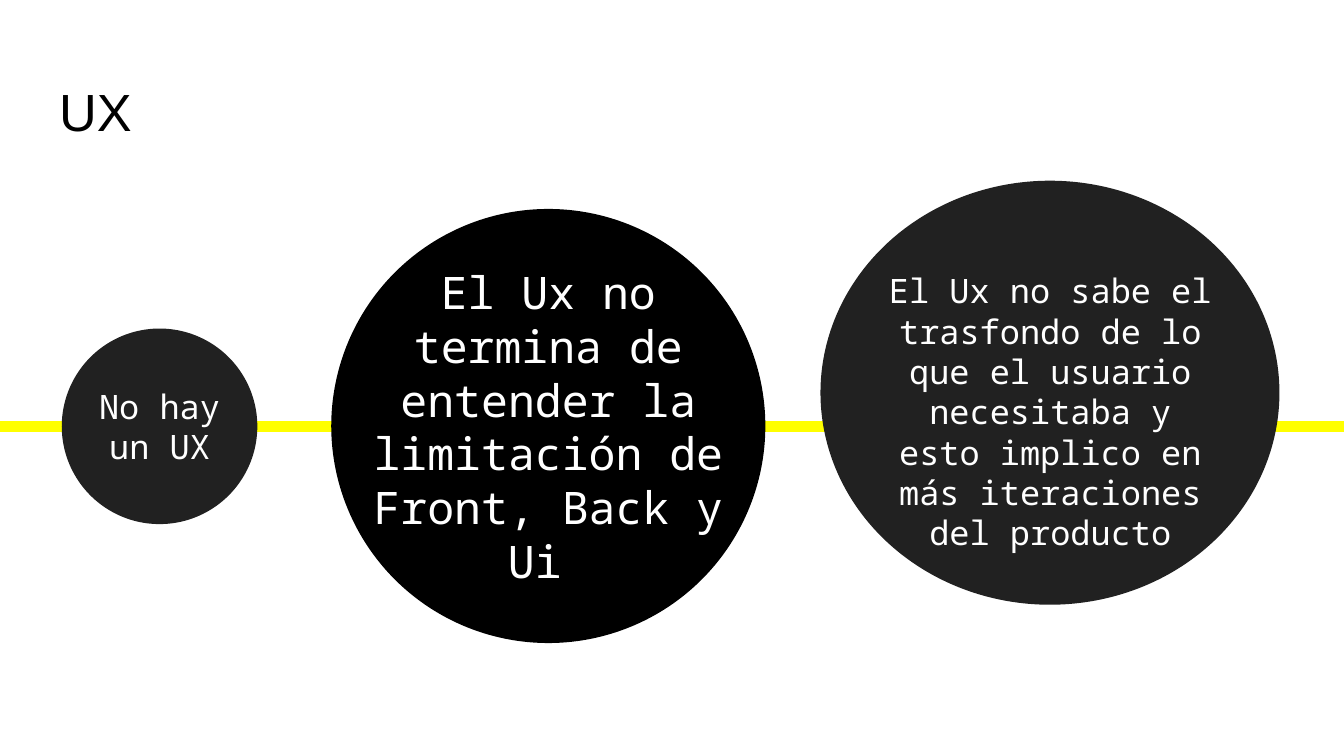
from pptx import Presentation
from pptx.dml.color import RGBColor
from pptx.enum.shapes import MSO_CONNECTOR as LINE, MSO_SHAPE as SHAPE
from pptx.enum.text import MSO_ANCHOR as ANCHOR, MSO_AUTO_SIZE as FIT, PP_ALIGN as ALIGN
from pptx.oxml.ns import qn
from pptx.util import Pt
from lxml import etree

PX = 4572  # 200 px to the inch
BLACK = RGBColor(0x00, 0x00, 0x00)
GREY = RGBColor(0x21, 0x21, 0x21)
WHITE = RGBColor(0xFF, 0xFF, 0xFF)
YELLOW = RGBColor(0xFF, 0xFF, 0x00)


def px(*nums):
    return [n * PX for n in nums]


def write(box, text, font, size, color, align, anchor):
    frame = box.text_frame
    frame.word_wrap = True
    frame.auto_size = FIT.NONE
    frame.vertical_anchor = anchor
    frame.margin_left = frame.margin_right = 20 * PX
    frame.margin_top = frame.margin_bottom = 20 * PX
    frame.text = text
    para = frame.paragraphs[0]
    para.alignment = align
    para.font.name = font
    para.font.size = Pt(size)
    para.font.color.rgb = color


prs = Presentation()
prs.slide_width, prs.slide_height = px(2000, 1125)
slide = prs.slides.add_slide(prs.slide_layouts[5])
shapes = slide.shapes

# Line that threads the circles
thread = shapes.add_connector(LINE.STRAIGHT, *px(-2, 635, 2000, 635))
thread.line.color.rgb = YELLOW
thread.line.width = Pt(6)
etree.SubElement(thread._element.spPr, qn("a:effectLst"))

# Title
title = shapes.title
title.left, title.top, title.width, title.height = px(68, 98, 1864, 126)
write(title, "UX", "Arial", 28, BLACK, ALIGN.LEFT, ANCHOR.TOP)

# Circle box, fill, label box, size, label
circles = [
    ((92, 489, 291, 291), GREY, (92, 568, 291, 132), 18, "No hay un UX"),
    ((493, 311, 646, 646), BLACK, (493, 568, 646, 132), 24,
     "El Ux no termina de entender la limitación de Front, Back y Ui "),
    ((1221, 269, 683, 631), GREY, (1296, 523, 534, 178), 18,
     "El Ux no sabe el trasfondo de lo que el usuario necesitaba "
     "y esto implico en más iteraciones del producto"),
]
for disc, fill, area, size, text in circles:
    oval = shapes.add_shape(SHAPE.OVAL, *px(*disc))
    oval.shadow.inherit = False
    oval.fill.solid()
    oval.fill.fore_color.rgb = fill
    oval.line.fill.background()
    label = shapes.add_textbox(*px(*area))
    write(label, text, "Noto Sans Mono", size, WHITE, ALIGN.CENTER, ANCHOR.MIDDLE)

prs.save("out.pptx")
